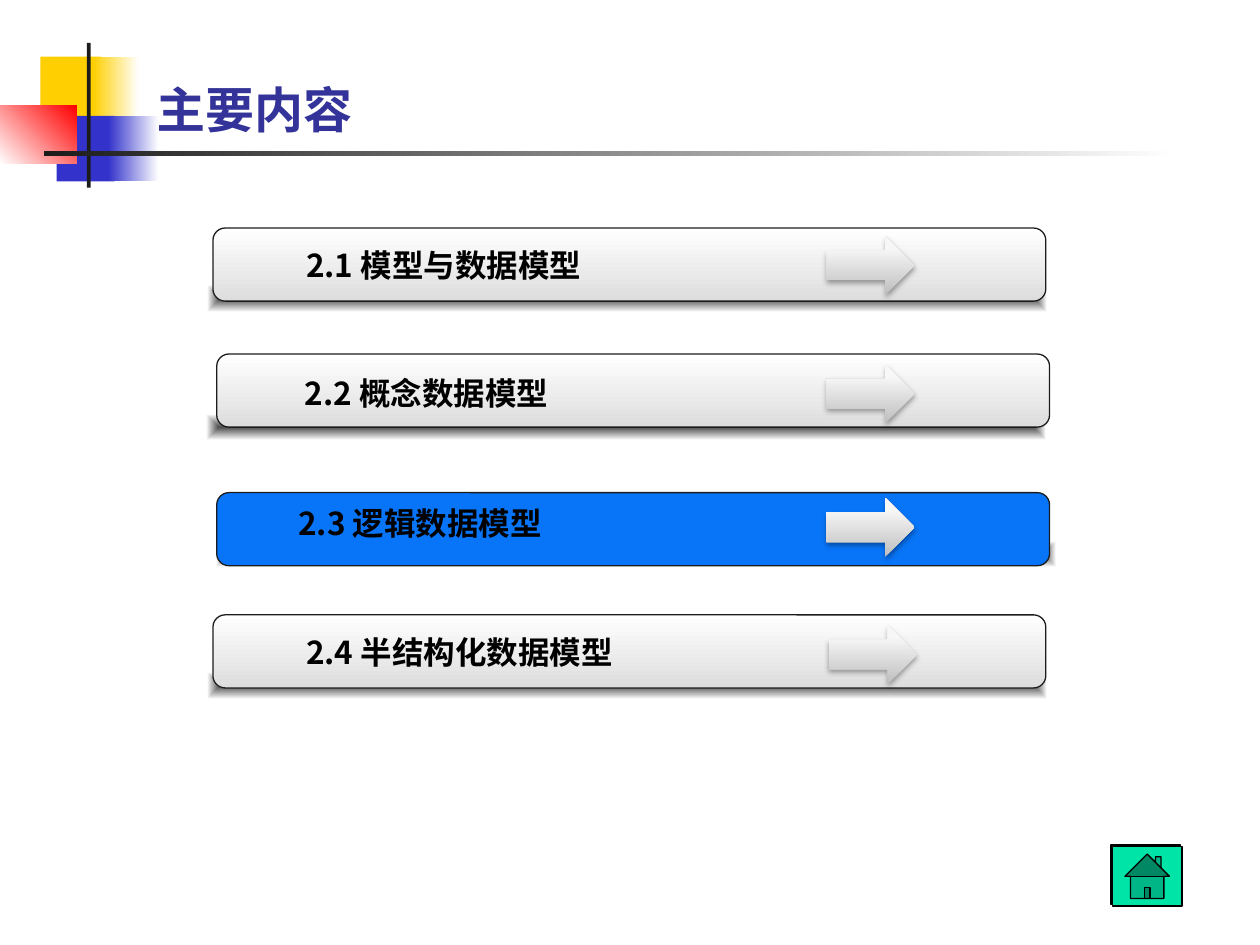
"""Build a contents slide with four topic bars, the third one highlighted."""
from pptx import Presentation
from pptx.dml.color import RGBColor
from pptx.enum.shapes import MSO_SHAPE
from pptx.enum.text import MSO_ANCHOR
from pptx.oxml import parse_xml
from pptx.oxml.ns import nsdecls, qn
from pptx.util import Inches, Pt

THEME = dict(
    gold="FFCF01", blue="3333CC", red="FF0000", white="FFFFFF", ink="1C1C1C",
    black="000000", title="333399", bright="0875F8", mint="00E4A8",
    silver=([(0, "FFFFFF", 100), (100, "DDDDDD", 100)], 90),
    steel=([(0, "BEBEBE", 100), (80, "F7F7F7", 100), (100, "F8F8F8", 100)], 270),
    shade=([(0, "000000", 70), (100, "000000", 0)], None),
    head=28, body=18, serif="Times New Roman", sans="Arial", cjk="Noto Sans CJK SC",
)

deck = Presentation()
deck.slide_width, deck.slide_height = Inches(10), Inches(7.5)
col, row = deck.slide_width / 10, deck.slide_height / 7.5
slide = deck.slides.add_slide(deck.slide_layouts[5])


def write(para, text, font, size, color):
    run = para.add_run()
    run.text = text
    run.font.name, run.font.size, run.font.bold = font, Pt(size), True
    run.font.color.rgb = RGBColor.from_string(color)


def draw(kind, x, y, w, h, fill=None, line=None, round=None, shadow=None):
    shape = slide.shapes.add_shape(
        kind, int(x * col), int(y * row), int(w * col), int(h * row))
    shape.shadow.inherit = False
    props = shape._element.spPr
    shape.fill.background()
    if isinstance(fill, str):
        shape.fill.solid()
        shape.fill.fore_color.rgb = RGBColor.from_string(fill)
    elif fill:
        stops, angle = fill
        marks = "".join(
            f'<a:gs pos="{pos * 1000}"><a:srgbClr val="{tint}">'
            f'<a:alpha val="{alpha * 1000}"/></a:srgbClr></a:gs>'
            for pos, tint, alpha in stops)
        flow = (
            '<a:path path="shape"><a:fillToRect l="50000" t="50000" r="50000" b="50000"/></a:path>'
            if angle is None else f'<a:lin ang="{angle * 60000}" scaled="0"/>')
        props.replace(props.find(qn("a:noFill")), parse_xml(
            f'<a:gradFill {nsdecls("a")} rotWithShape="1">'
            f'<a:gsLst>{marks}</a:gsLst>{flow}</a:gradFill>'))
    if line:
        shape.line.color.rgb = RGBColor.from_string(line)
        shape.line.width = Pt(0.75)
    else:
        shape.line.fill.background()
    if round is not None:
        shape.adjustments[0] = round
    if shadow:
        alpha, blur, dist, angle = shadow
        props.find(qn("a:effectLst")).append(parse_xml(
            f'<a:outerShdw {nsdecls("a")} blurRad="{Pt(blur)}" dist="{Pt(dist)}" '
            f'dir="{angle * 60000}" algn="ctr" rotWithShape="0"><a:srgbClr val="000000">'
            f'<a:alpha val="{alpha * 1000}"/></a:srgbClr></a:outerShdw>'))
    return shape


def_stops = {
    name: ([(0, THEME[name], 100), (100, THEME["white"], 100)], 0)
    for name in ("gold", "blue", "ink")
}
blush = ([(0, THEME["white"], 100), (100, THEME["red"], 100)], 315)
for box, fill in [
    ((0.32, 0.45, 0.48, 0.52), THEME["gold"]),
    ((0.74, 0.45, 0.36, 0.52), def_stops["gold"]),
    ((0.45, 0.92, 0.46, 0.52), THEME["blue"]),
    ((0.86, 0.92, 0.40, 0.52), def_stops["blue"]),
    ((0, 0.84, 0.61, 0.46), blush),
    ((0.69, 0.34, 0.03, 1.15), THEME["ink"]),
    ((0.35, 1.2, 9, 0.04), def_stops["ink"]),
]:
    draw(MSO_SHAPE.RECTANGLE, *box, fill=fill)

title = slide.shapes.title
title.left, title.top = int(1.14 * col), int(0.13 * row)
title.width, title.height = int(8.68 * col), int(1.02 * row)
title.text_frame.vertical_anchor = MSO_ANCHOR.BOTTOM
para = title.text_frame.paragraphs[0]
para._p.get_or_add_pPr().set("algn", "l")
write(para, "主要内容", THEME["serif"], THEME["head"], THEME["title"])

topics = [
    ("2.1 ", "模型与数据模型", "silver", (1.69, 1.81), (1.65, 2.27), (1.77, 1.81), 0.16, (6.56, 1.87)),
    ("2.2 ", "概念数据模型", "silver", (1.72, 2.81), (1.64, 3.29), (1.76, 2.83), 0.16, (6.56, 2.89)),
    ("2.3 ", "逻辑数据模型", "bright", (1.72, 3.91), (1.72, 4.3), (1.77, 3.86), 0.1, (6.56, 3.95)),
    ("2.4 ", "半结构化数据模型", "silver", (1.69, 4.88), (1.65, 5.34), (1.77, 4.88), 0.16, (6.58, 4.96)),
]
for mark, name, look, bar, shade, label, inset, arrow in topics:
    draw(MSO_SHAPE.RECTANGLE, *shade, 6.66, 0.2, fill=THEME["shade"])
    draw(MSO_SHAPE.ROUNDED_RECTANGLE, *bar, 6.61, 0.58,
         fill=THEME[look], line=THEME["ink"], round=0.167)
    frame = draw(MSO_SHAPE.ROUNDED_RECTANGLE, *label, 5.91, 0.58, round=0).text_frame
    frame.word_wrap = True
    frame.vertical_anchor = MSO_ANCHOR.MIDDLE
    frame.margin_left = int(inset * col)
    para = frame.paragraphs[0]
    para.level = 1
    for key, value in (("marL", str(int(0.5 * col))), ("indent", "0"), ("algn", "l")):
        para._p.get_or_add_pPr().set(key, value)
    for text, font in ((mark, THEME["cjk"]), (name, THEME["sans"])):
        write(para, text, font=font, size=THEME["body"], color=THEME["black"])
    draw(MSO_SHAPE.RIGHT_ARROW, *arrow, 0.7, 0.47,
         fill=THEME["steel"], shadow=(35, 3.1, 1.8, 90))

draw(MSO_SHAPE.ACTION_BUTTON_HOME, 8.83, 6.72, 0.55, 0.47,
     fill=THEME["mint"], line=THEME["black"], shadow=(100, 0, 1.4, 225))

deck.save("out.pptx")
